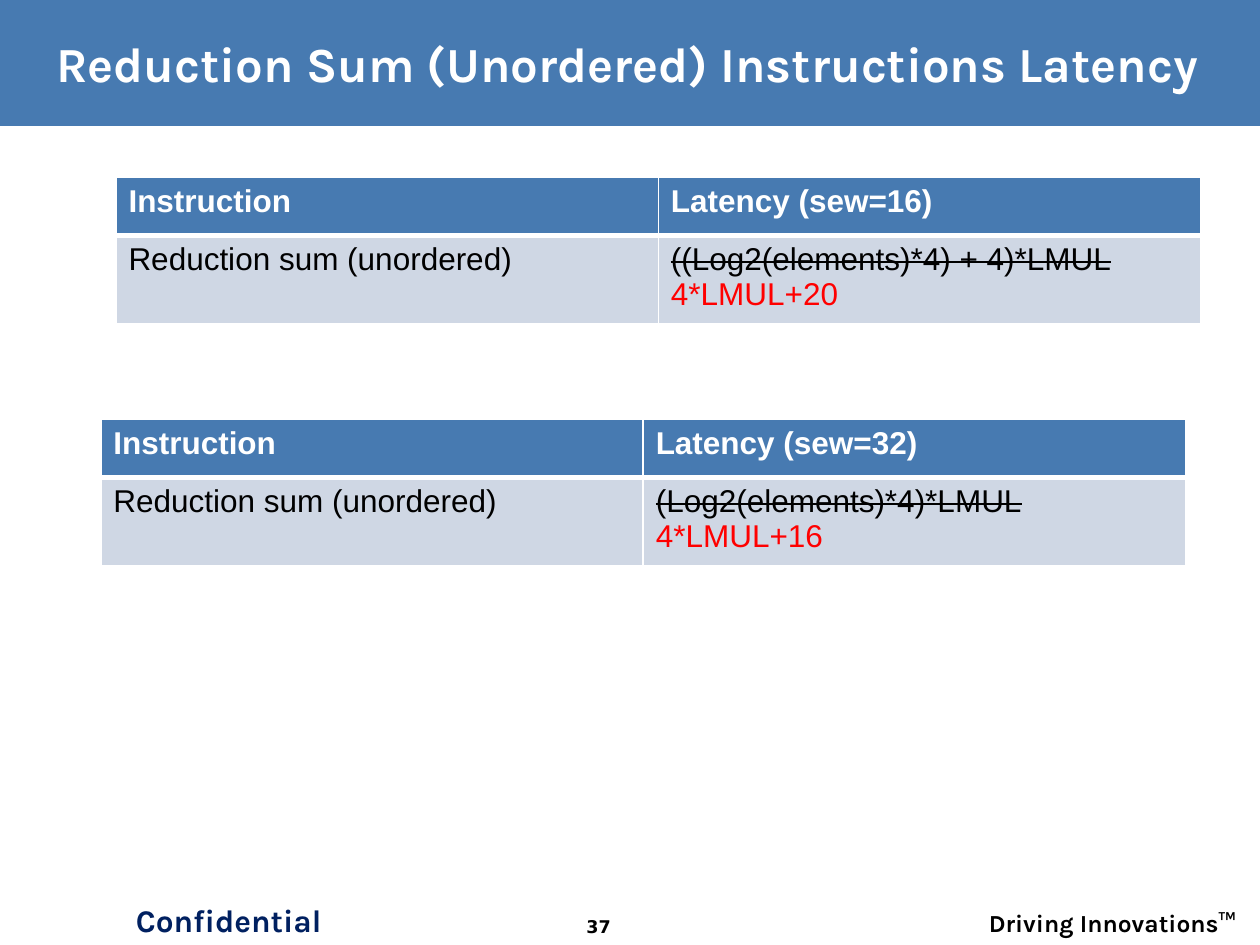
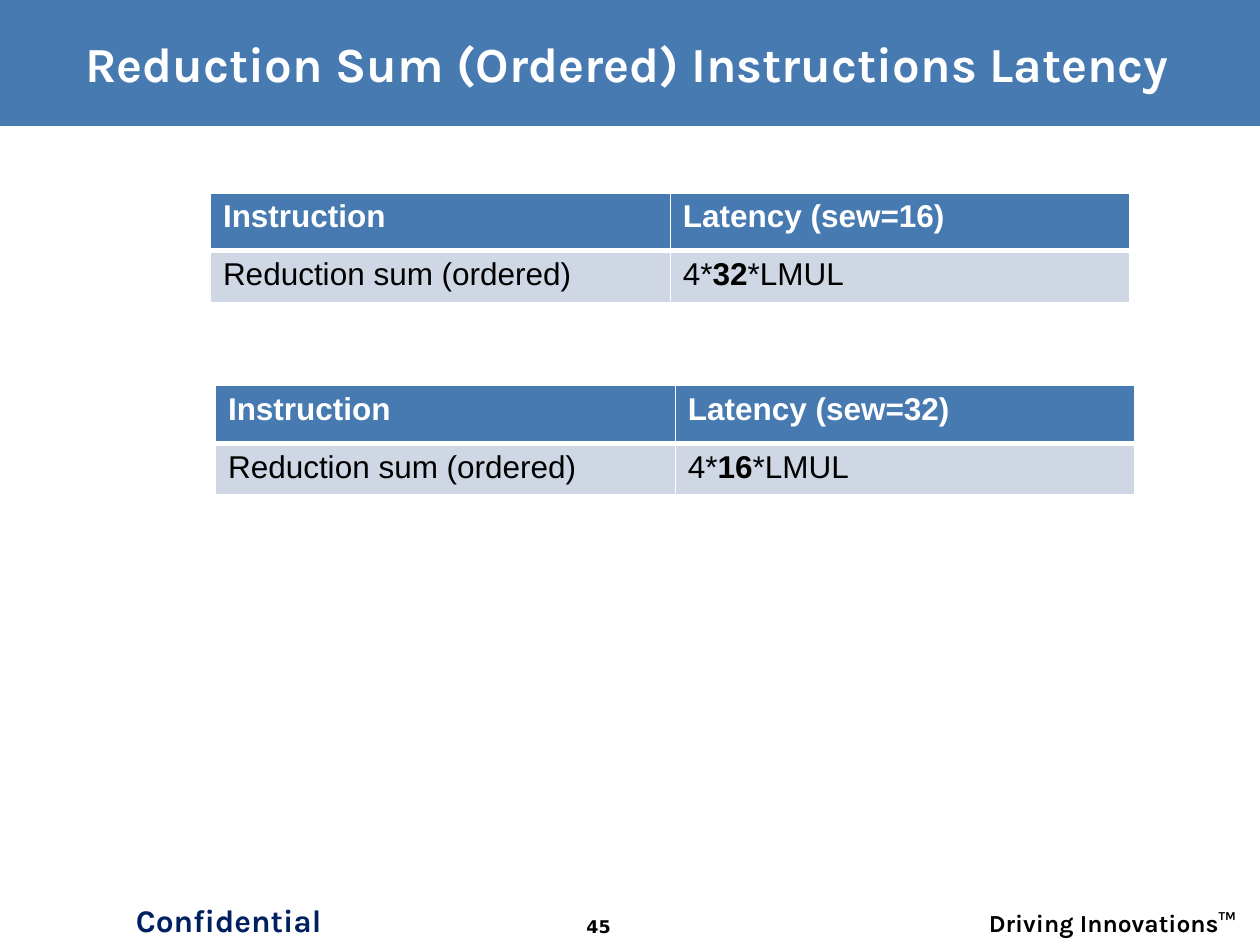
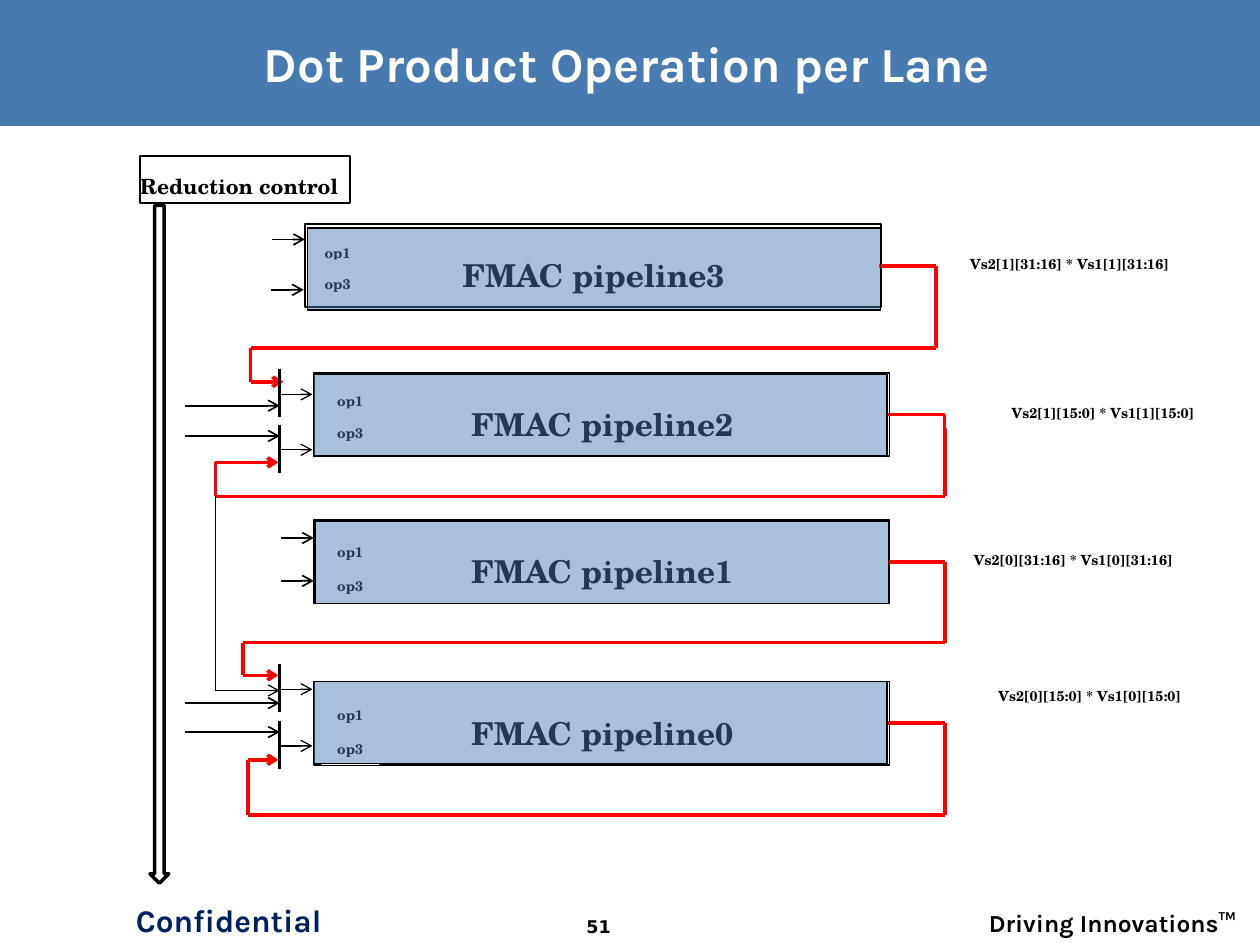
from lxml import etree
from pptx import Presentation
from pptx.dml.color import RGBColor
from pptx.enum.dml import MSO_FILL
from pptx.enum.shapes import MSO_CONNECTOR, MSO_SHAPE
from pptx.enum.text import MSO_ANCHOR, PP_ALIGN
from pptx.oxml.ns import qn
from pptx.util import Pt

PX = 9144  # EMU in one px, 100 px to the inch
BLUE = RGBColor(0x47, 0x7A, 0xB1)
PALE = RGBColor(0xCF, 0xD7, 0xE4)
NAVY = RGBColor(0x00, 0x20, 0x60)
RED = RGBColor(0xFF, 0x00, 0x00)
BLACK = RGBColor(0x00, 0x00, 0x00)
WHITE = RGBColor(0xFF, 0xFF, 0xFF)
LEFT, MID, RIGHT = PP_ALIGN.LEFT, PP_ALIGN.CENTER, PP_ALIGN.RIGHT
TOP, HALF = MSO_ANCHOR.TOP, MSO_ANCHOR.MIDDLE
RECT, DOWN = MSO_SHAPE.RECTANGLE, MSO_SHAPE.DOWN_ARROW
STRAIGHT = MSO_CONNECTOR.STRAIGHT
SOLID = MSO_FILL.SOLID
SERIF = "TeX Gyre Schola"

PIPE_W, PIPE_H = 457, 66
GATE_X, FEED_X = 222, 147
BAR_H = 38

# name, box corner, op offset, op pitch, tint corner,
# loop (drop, back, goal, tip), product and its box
LANES = [
    ("FMAC pipeline3", (242, 178), (3, 3), 25, (244, 181), (98, -43, 125, -17),
     "Vs2[1][31:16] * Vs1[1][31:16]", (750, 190, 198, 32)),
    ("FMAC pipeline2", (249, 296), (6, 3), 25, (249, 297), (98, -78, 71, -28),
     "Vs2[1][15:0] * Vs1[1][15:0]", (751, 308, 249, 32)),
    ("FMAC pipeline1", (249, 413), (6, 6), 27, (250, 414), (97, -56, 123, -28),
     "Vs2[0][31:16] * Vs1[0][31:16]", (756, 425, 192, 32)),
    ("FMAC pipeline0", (249, 541), (6, 7), 27, (249, 541), (106, -52, 62, -28),
     "Vs2[0][15:0] * Vs1[0][15:0]", (757, 533, 216, 32)),
]
# bar top, feed offset
GATES = [(293, 29), (337, 9), (527, 31), (572, 9)]
# arrow tip of inputs that pass no gate
INPUTS = [(242, 190), (241, 230), (249, 427), (249, 461)]


def scale(*sizes):
    return [size * PX for size in sizes]


def sub(parent, tag, **attrs):
    return etree.SubElement(parent, qn(tag), **attrs)


def style(run, size, font, color, bold, strike=False, shadow=False):
    run.font.size = Pt(size)
    run.font.name = font
    run.font.bold = bold
    run.font.color.rgb = color
    props = run._r.get_or_add_rPr()
    if strike:
        props.set("strike", "sngStrike")
    if shadow:
        effects = etree.Element(qn("a:effectLst"))
        cast = sub(effects, "a:outerShdw", dist="38100", dir="2700000")
        sub(cast, "a:srgbClr", val=str(BLACK))
        props.find(qn("a:solidFill")).addnext(effects)


def put(frame, text, align=LEFT, anchor=TOP, space=None, indent=0, **fmt):
    """Write a string, or a list of lines made of (string, changes) runs."""
    frame.word_wrap = True
    frame.vertical_anchor = anchor
    lines = [[(text, {})]] if isinstance(text, str) else text
    base = dict(size=18, font="Karla", color=BLACK, bold=True) | fmt
    for i, line in enumerate(lines):
        para = frame.add_paragraph() if i else frame.paragraphs[0]
        para.alignment = align
        para.line_spacing = space
        if indent:
            para._p.get_or_add_pPr().set("indent", str(indent * PX))
        for words, changes in line:
            run = para.add_run()
            run.text = words
            style(run, **(base | changes))


def shape(slide, at, kind=RECT, fill=None, alpha=None, line=None):
    item = slide.shapes.add_shape(kind, *scale(*at))
    item.shadow.inherit = False
    if fill is None:
        item.fill.background()
    else:
        item.fill.solid()
        item.fill.fore_color.rgb = fill
    if alpha and item.fill.type == SOLID:
        tone = item._element.spPr.find(qn("a:solidFill"))[0]
        sub(tone, "a:alpha", val=str(alpha * 1000))
    if line is None:
        item.line.fill.background()
    else:
        item.line.color.rgb = BLACK
        item.line.width = Pt(line)
    return item


def label(slide, at, text, **fmt):
    """Small white box with serif text in its centre."""
    item = shape(slide, at, fill=WHITE)
    put(item.text_frame, text, align=MID, anchor=HALF, space=1.5, size=8,
        font=SERIF, **fmt)


def block(slide, at, text, **fmt):
    """Outlined white box whose text starts at its edge."""
    item = shape(slide, at, fill=WHITE, line=1)
    frame = item.text_frame
    frame.margin_left = frame.margin_right = 0
    put(frame, text, anchor=HALF, space=1.5, font=SERIF, **fmt)


def note(slide, at, text, **fmt):
    item = slide.shapes.add_textbox(*scale(*at))
    put(item.text_frame, text, **fmt)
    return item


def wire(slide, *points, color=BLACK, width=0.75, arrow=True):
    """Join the points by straight lines, with an arrow at the last."""
    for start, end in zip(points, points[1:]):
        item = slide.shapes.add_connector(STRAIGHT, *scale(*start, *end))
        item.line.color.rgb = color
        item.line.width = Pt(width)
        sub(item._element.spPr, "a:effectLst")
    if arrow:
        sub(item.line._get_or_add_ln(), "a:tailEnd", type="arrow")


def frame_layout(slide):
    """Move the band and footers to the layout that all slides use."""
    layout = slide.slide_layout
    for spare in list(layout.placeholders)[1:]:
        spare.element.getparent().remove(spare.element)
    parts = [
        shape(slide, (0, 0, 1000, 100), fill=BLUE),
        note(slide, (94, 710, 175, 42), "Confidential", align=MID, color=NAVY),
        note(slide, (754, 716, 237, 27), "Driving Innovations™", align=RIGHT,
             size=14),
    ]
    for part in parts:
        layout.shapes.element.append(part.element)


def start(deck, title, number):
    slide = deck.slides.add_slide(deck.slide_layouts[5])
    if len(deck.slides) == 1:
        frame_layout(slide)
    head = slide.shapes.title
    head.left, head.top, head.width, head.height = scale(22, 17, 951, 66)
    put(head.text_frame, title, align=MID, anchor=HALF, size=28, color=WHITE,
        shadow=True)
    note(slide, (429, 722, 92, 28), str(number), align=MID, size=10,
         font="DejaVu Sans")
    return slide


def edge(cell, head):
    props = cell._tc.get_or_add_tcPr()
    for side in "LRTB":
        thick = (side == "B" and head) or (side == "T" and not head)
        line = sub(props, "a:ln" + side, w=str(Pt(3 if thick else 1)))
        sub(sub(line, "a:solidFill"), "a:srgbClr", val=str(WHITE))


def grid(slide, left, top, width, low, rows):
    """Header row over one body row of height low."""
    item = slide.shapes.add_table(2, 2, *scale(left, top, width, 46 + low))
    table = item.table
    for row, height in zip(table.rows, (46, low)):
        row.height = height * PX
    for r, row in enumerate(rows):
        head = r == 0
        for c, text in enumerate(row):
            cell = table.cell(r, c)
            edge(cell, head)
            cell.fill.solid()
            cell.fill.fore_color.rgb = BLUE if head else PALE
            put(cell.text_frame, text, font="Arial", bold=head,
                color=WHITE if head else BLACK)


def tables(deck, title, number, kind, width, low, parts):
    slide = start(deck, title, number)
    for left, top, bits, value in parts:
        grid(slide, left, top, width, low, [
            ("Instruction", f"Latency (sew={bits})"),
            (f"Reduction sum ({kind})", value),
        ])


def revised(old, new):
    return [[(old, {"strike": True})], [(new, {"color": RED})]]


def product(count):
    return [[("4*", {}), (count, {"bold": True}), ("*LMUL", {})]]


def lane(slide, name, corner, shift, pitch, loop):
    """One pipeline with its operands and the loop from its output."""
    x, y = corner
    block(slide, (x, y, PIPE_W, PIPE_H), name, indent=125)
    for i, op in enumerate(("op1", "op3")):
        label(slide, (x + shift[0], y + shift[1] + i * pitch, 46, 32), op)
    drop, back, goal, tip = loop
    path = [(456, 33), (501, 33), (501, drop), (back, drop), (back, goal),
            (tip, goal)]
    wire(slide, *[(x + dx, y + dy) for dx, dy in path], color=RED, width=2)


def gate(slide, x, y, feed):
    """Selector bar with one input and one output."""
    wire(slide, (x, y), (x, y + BAR_H), width=1.75, arrow=False)
    wire(slide, (FEED_X, y + feed), (x, y + feed), width=1)
    wire(slide, (x, y + 20), (x + 26, y + 20))


def diagram(deck):
    slide = start(deck, "Dot Product Operation per Lane", 51)
    block(slide, (111, 124, 167, 37), "Reduction control", size=12)
    shape(slide, (119, 163, 15, 538), kind=DOWN, line=2)
    for name, corner, shift, pitch, _, loop, text, at in LANES:
        lane(slide, name, corner, shift, pitch, loop)
        label(slide, at, text)
    for top, feed in GATES:
        gate(slide, GATE_X, top, feed)
    for x, y in INPUTS:
        wire(slide, (x - 26, y), (x, y), width=1)
    wire(slide, (171, 394), (171, 548), (GATE_X, 548))
    for _, _, _, _, tint, *_ in LANES:
        shape(slide, (*tint, 455, 65), fill=BLUE, alpha=47, line=0.75)


def main():
    deck = Presentation()
    deck.slide_width, deck.slide_height = scale(1000, 750)
    tables(deck, "Reduction Sum (Unordered) Instructions Latency", 37,
           "unordered", 861, 65, [
               (92, 141, 16,
                revised("((Log2(elements)*4) + 4)*LMUL", "4*LMUL+20")),
               (80, 333, 32,
                revised("(Log2(elements)*4)*LMUL", "4*LMUL+16")),
           ])
    tables(deck, "Reduction Sum (Ordered) Instructions Latency", 45,
           "ordered", 730, 41, [
               (167, 153, 16, product("32")),
               (171, 306, 32, product("16")),
           ])
    diagram(deck)
    deck.save("out.pptx")


if __name__ == "__main__":
    main()
